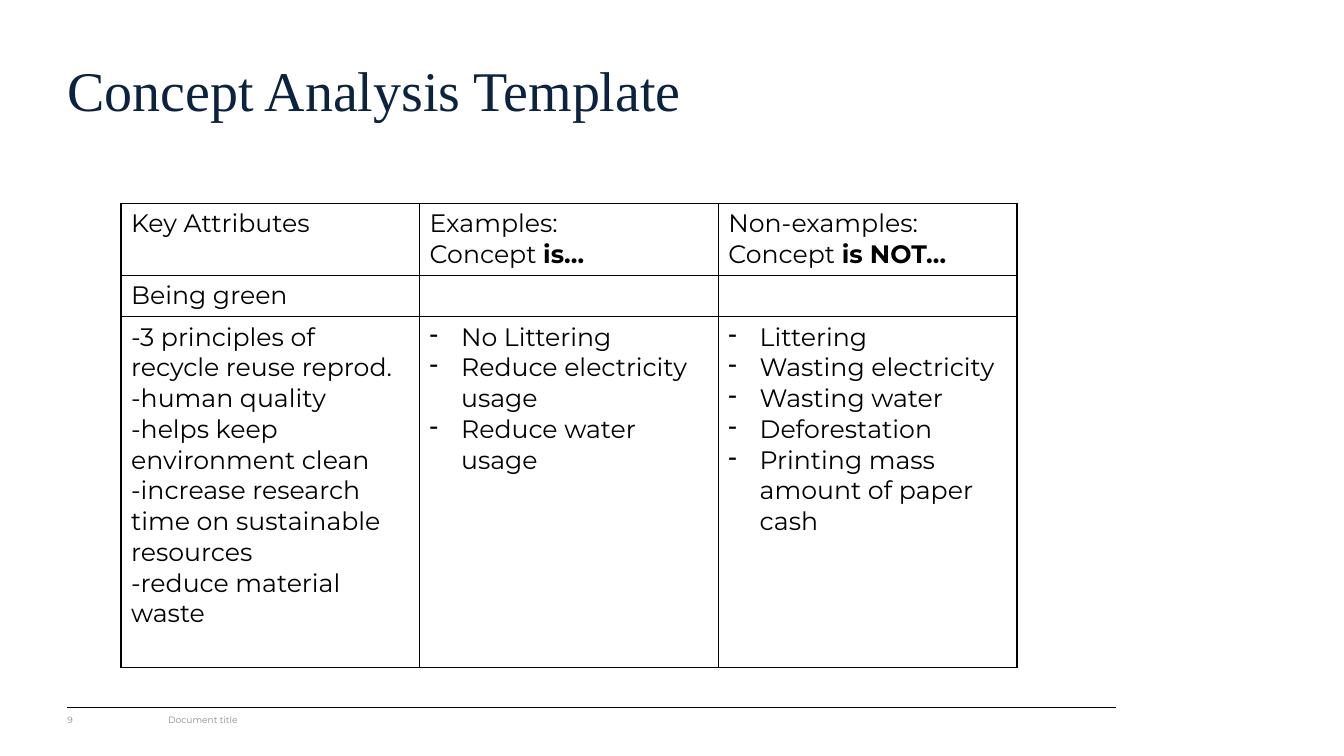
from lxml import etree
from pptx import Presentation
from pptx import util as u
from pptx.dml.color import RGBColor
from pptx.enum import shapes, text
from pptx.oxml import ns

NAVY = RGBColor(0x0C, 0x23, 0x40)
BLACK = RGBColor(0, 0, 0)
GREY = RGBColor(0x8C, 0x8C, 0x8C)


def write(frame, lines, size=18, font="Montserrat", color=BLACK, dashed=False):
    """Each line is a string, or a pair of regular and bold text."""
    for index, line in enumerate(lines):
        paragraph = frame.add_paragraph() if index else frame.paragraphs[0]
        if dashed:
            properties = paragraph._p.get_or_add_pPr()
            properties.set("marL", str(u.Cm(0.79)))
            properties.set("indent", str(-u.Cm(0.79)))
            etree.SubElement(properties, ns.qn("a:buFontTx"))
            etree.SubElement(properties, ns.qn("a:buChar"), char="-")
        parts = (line,) if isinstance(line, str) else line
        for part, bold in zip(parts, (False, True)):
            run = paragraph.add_run()
            run.text = part
            run.font.size = u.Pt(size)
            run.font.name = font
            run.font.bold = bold
            run.font.color.rgb = color


def set_borders(cell):
    for side in ("lnL", "lnR", "lnT", "lnB"):
        line = etree.SubElement(cell._tc.get_or_add_tcPr(), ns.qn(f"a:{side}"), w=str(u.Pt(1)))
        fill = etree.SubElement(line, ns.qn("a:solidFill"))
        etree.SubElement(fill, ns.qn("a:srgbClr"), val=str(BLACK))


presentation = Presentation()
presentation.slide_width = u.Cm(33.87)
presentation.slide_height = u.Cm(19.05)
slide = presentation.slides.add_slide(presentation.slide_layouts[6])

# Footer rule
rule = slide.shapes.add_connector(
    shapes.MSO_CONNECTOR.STRAIGHT, u.Cm(1.7), u.Cm(17.83), u.Cm(28.12), u.Cm(17.83))
rule.line.color.rgb = BLACK
rule.line.width = u.Pt(0.75)
etree.SubElement(rule._element.spPr, ns.qn("a:effectLst"))

# Title, footer and page number
LABELS = [
    ("Concept Analysis Template", (1.7, 1.14, 26.44, 2.36), 40, "Times New Roman", NAVY),
    ("Document title", (4.24, 17.93, 10.72, 0.53), 6.5, "Montserrat", GREY),
    ("9", (1.7, 17.93, 1.35, 0.53), 6.5, "Montserrat", GREY),
]
for label, place, size, font, color in LABELS:
    frame = slide.shapes.add_textbox(*map(u.Cm, place)).text_frame
    frame.word_wrap = True
    frame.vertical_anchor = text.MSO_ANCHOR.MIDDLE
    frame.margin_left = frame.margin_top = 0
    write(frame, [label], size=size, font=font, color=color)

# Concept table
ROWS = [
    [["Key Attributes"],
     ["Examples:", ("Concept ", "is…")],
     [("Non-examples: Concept ", "is NOT…")]],
    [["Being green"], [], []],
    [["-3 principles of recycle reuse reprod.",
      "-human quality",
      "-helps keep environment clean",
      "-increase research time on sustainable resources",
      "-reduce material waste"],
     ["No Littering", "Reduce electricity usage", "Reduce water usage"],
     ["Littering", "Wasting electricity", "Wasting water", "Deforestation",
      "Printing mass amount of paper cash"]],
]
HEIGHTS = [1.81, 1.04, 8.84]
table = slide.shapes.add_table(
    len(ROWS), 3, u.Cm(3.05), u.Cm(5.13), u.Cm(22.58), u.Cm(sum(HEIGHTS))).table
table.first_row = False
table.horz_banding = False
for row_index, (row, height) in enumerate(zip(ROWS, HEIGHTS)):
    table.rows[row_index].height = u.Cm(height)
    for column_index, lines in enumerate(row):
        cell = table.cell(row_index, column_index)
        set_borders(cell)
        cell.fill.background()
        write(cell.text_frame, lines, dashed=row_index == 2 and column_index > 0)

presentation.save("out.pptx")
